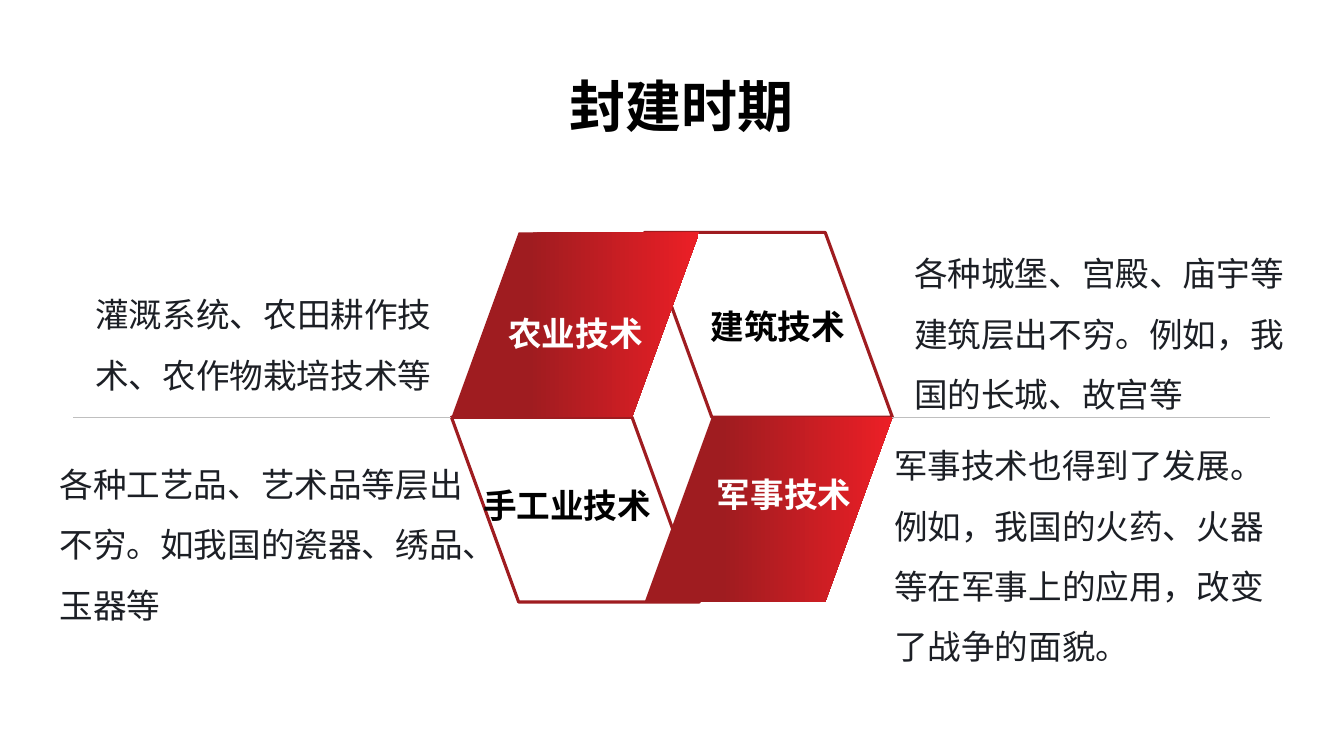
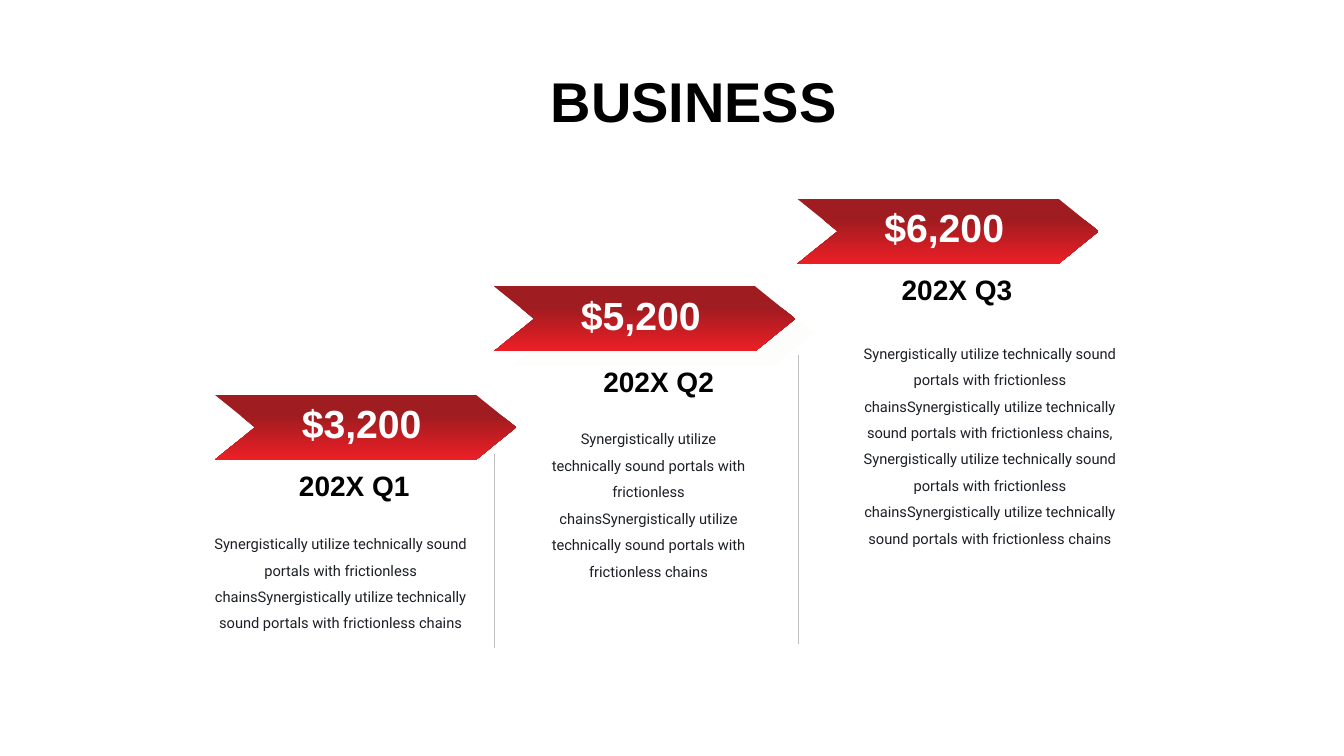
from lxml import etree
from pptx import Presentation
from pptx.dml.color import RGBColor
from pptx.enum.shapes import MSO_CONNECTOR
from pptx.enum.text import MSO_ANCHOR, PP_ALIGN
from pptx.oxml.ns import qn
from pptx.util import Pt

LEFT, CENTER, RIGHT = PP_ALIGN.LEFT, PP_ALIGN.CENTER, PP_ALIGN.RIGHT
TOP, MIDDLE, BOTTOM = MSO_ANCHOR.TOP, MSO_ANCHOR.MIDDLE, MSO_ANCHOR.BOTTOM
STRAIGHT = MSO_CONNECTOR.STRAIGHT
ACROSS, DOWN = 0, 270


def rgb(value):
    return RGBColor.from_string(value)


class Deck:
    DARK, BRIGHT, GRAY = "9F1C20", "EC1F26", "BFBFBF"
    BLACK, WHITE, INK, GHOST = "000000", "FFFFFF", "1C1F25", "EEECE1"
    HEAD_FONT, BODY_FONT = "Arial", "Roboto"

    def __init__(self):
        self.prs = Presentation()
        self.prs.slide_width, self.prs.slide_height = Pt(960), Pt(540)
        self.s = None

    def slide(self):
        self.s = self.prs.slides.add_slide(self.prs.slide_layouts[6])

    def text(self, box, text, size, color, font=HEAD_FONT, bold=True,
             align=CENTER, anchor=MIDDLE, spacing=1.0):
        tf = self.s.shapes.add_textbox(*map(Pt, box)).text_frame
        tf.word_wrap = True
        tf.vertical_anchor = anchor
        tf.margin_left = tf.margin_right = tf.margin_top = tf.margin_bottom = 0
        p = tf.paragraphs[0]
        p.alignment = align
        p.line_spacing = spacing
        r = p.add_run()
        r.text = text
        r.font.size, r.font.name, r.font.bold = Pt(size), font, bold
        r.font.color.rgb = rgb(color)

    def title(self, x, y, text):
        self.text((x, y, 258, 48), text, 40, self.BLACK, anchor=TOP)

    def body(self, box, text, size, align):
        self.text(box, text, size, self.INK, self.BODY_FONT, False,
                  align, TOP, 1.5)

    def line(self, x1, y1, x2, y2):
        c = self.s.shapes.add_connector(STRAIGHT, *map(Pt, (x1, y1, x2, y2)))
        c.line.color.rgb = rgb(self.GRAY)
        c.line.width = Pt(0.25)
        etree.SubElement(c._element.spPr, qn("a:effectLst"))

    def polygon(self, points):
        pts = [(Pt(x), Pt(y)) for x, y in points]
        fb = self.s.shapes.build_freeform(*pts[0], scale=1.0)
        fb.add_line_segments(pts[1:], close=True)
        sp = fb.convert_to_shape()
        sp.shadow.inherit = False
        return sp

    def gradient(self, points, angle):
        sp = self.polygon(points)
        sp.line.fill.background()
        sp.fill.gradient()
        sp.fill.gradient_angle = angle
        stops = ((0.31, self.DARK), (1, self.BRIGHT))
        for stop, (position, color) in zip(sp.fill.gradient_stops, stops):
            stop.position = position
            stop.color.rgb = rgb(color)

    def outline(self, points):
        sp = self.polygon(points)
        sp.fill.background()
        sp.line.color.rgb = rgb(self.DARK)
        sp.line.width = Pt(2.25)

    def ghost(self, points):
        sp = self.polygon(points)
        sp.line.fill.background()
        sp.fill.solid()
        sp.fill.fore_color.rgb = rgb(self.GHOST)
        color = sp._element.spPr.find(".//" + qn("a:srgbClr"))
        etree.SubElement(color, qn("a:alpha"), val="10000")


def slanted(x, y, dx, dy, width=129):
    return [(x, y), (x + width, y), (x + width + dx, y + dy), (x + dx, y + dy)]


def arrow(x, y, width=215.3, height=46.5, notch=28.8):
    mid, low, right = y + height / 2, y + height, x + width
    return [(x, y), (right - notch, y), (right, mid),
            (right - notch, low), (x, low), (x + notch, mid)]


def feudal_slide(d):
    d.slide()
    left, right, mid, slant, rise = 322.5, 508.5, 298, 48, 132
    d.outline(slanted(right, mid, -slant, -rise))
    d.outline(slanted(left, mid, slant, rise))
    d.gradient(slanted(left, mid, slant, -rise), ACROSS)
    d.gradient(slanted(right, mid, -slant, rise), ACROSS)

    labels = [
        (350.6, 211, 121, "农业技术", d.WHITE),
        (493.2, 206, 124.6, "建筑技术", d.BLACK),
        (327.6, 333.4, 154.8, "手工业技术", d.BLACK),
        (501.1, 326.2, 118, "军事技术", d.WHITE),
    ]
    for x, y, width, text, color in labels:
        d.text((x, y, width, 54), text, 24, color)

    d.line(left, mid, 52.5, mid)
    d.line(637.5, mid, 907.5, mid)
    d.title(357.8, 51.1, "封建时期")

    notes = [
        ((52.5, 195.8, 255.6, 84.2), RIGHT, "灌溉系统、农田耕作技术、农作物栽培技术等"),
        ((42.5, 316.8, 290.2, 126), LEFT,
         "各种工艺品、艺术品等层出不穷。如我国的瓷器、绣品、玉器等"),
        ((653, 166.3, 272.2, 126), LEFT,
         "各种城堡、宫殿、庙宇等建筑层出不穷。例如，我国的长城、故宫等"),
        ((638.6, 303.4, 287.3, 168), LEFT,
         "军事技术也得到了发展。例如，我国的火药、火器等在军事上的应用，改变了战争的面貌。"),
    ]
    for box, align, text in notes:
        d.body(box, text, 24, align)


def business_slide(d):
    d.slide()
    phrase = "Synergistically utilize technically sound portals with frictionless chains"
    pair = phrase * 2
    d.ghost(arrow(366.5, 214.6))
    d.line(352.8, 324, 352.8, 463)
    d.line(570.2, 253.4, 570.2, 460)

    steps = [
        ((153.4, 282), "$3,200", (153.4, 327.6), "202X Q1",
         (144.7, 375.8, 197.3, 66.2), pair),
        ((352.8, 204.5), "$5,200", (370.8, 253.6), "202X Q2",
         (392.4, 301, 141.8, 99.4), pair),
        ((569.5, 142), "$6,200", (583.9, 188), "202X Q3",
         (610.6, 239.8, 193, 148.3), pair + ", " + pair),
    ]
    for (x, y), amount, (qx, qy), quarter, box, text in steps:
        d.gradient(arrow(x, y), DOWN)
        d.text((x - 3.8, y - 3.4, 217.4, 47.5), amount, 28, d.WHITE)
        d.text((qx, qy, 199.4, 31), quarter, 20, d.BLACK, anchor=BOTTOM)
        d.body(box, text, 10.5, CENTER)

    d.title(366.5, 47.5, "BUSINESS")


def main():
    d = Deck()
    feudal_slide(d)
    business_slide(d)
    d.prs.save("out.pptx")


if __name__ == "__main__":
    main()
